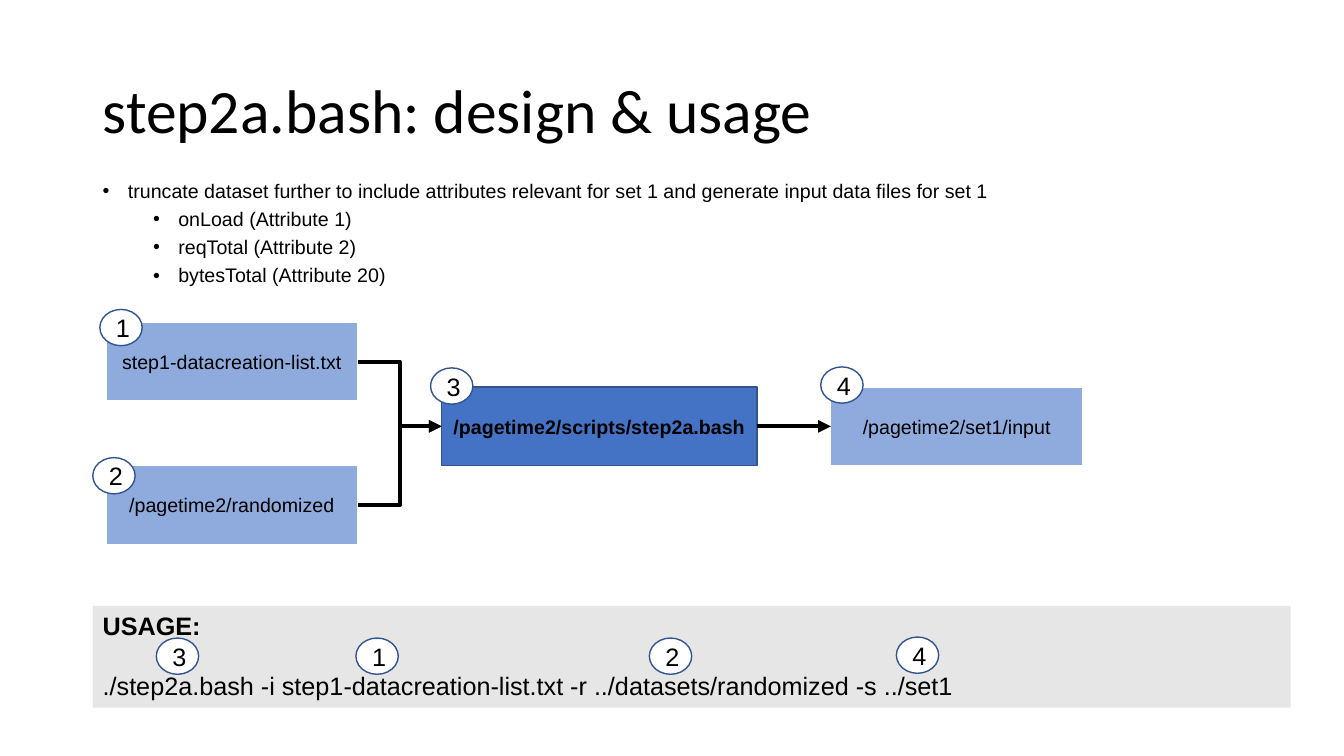
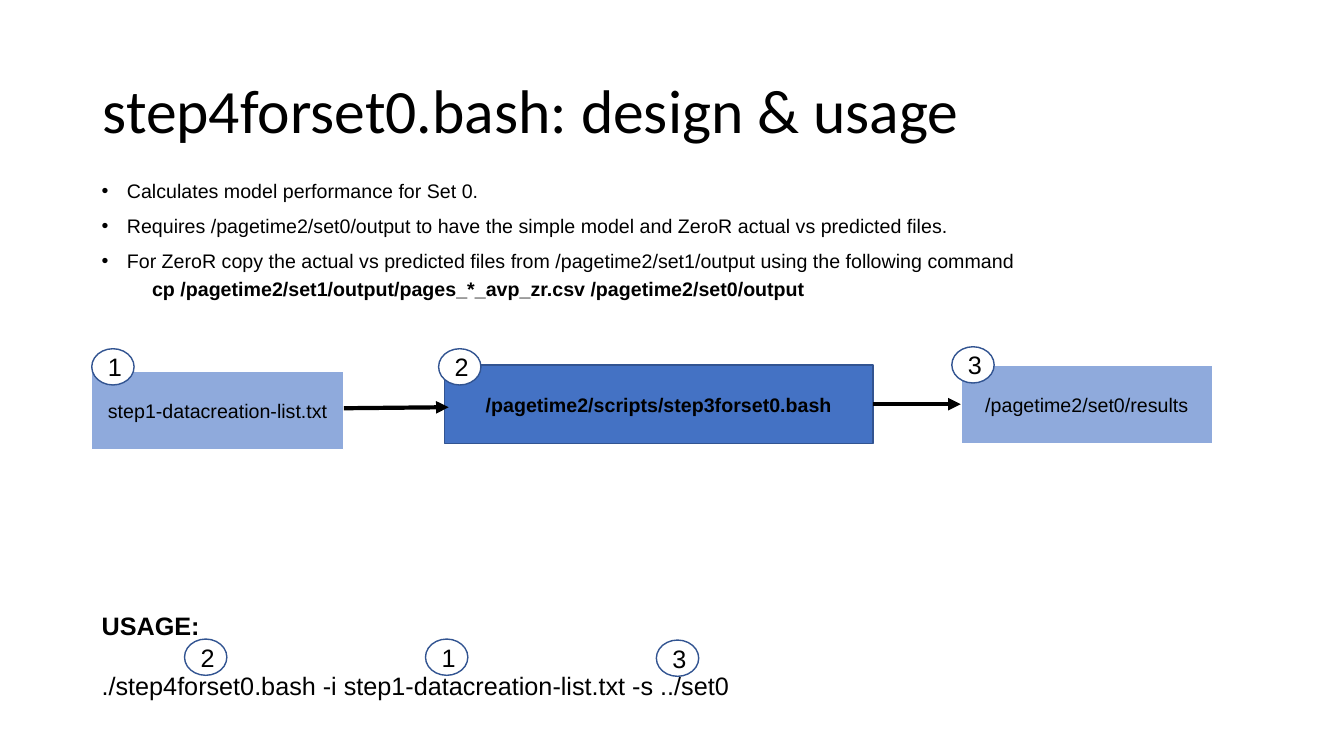
from lxml import etree
from pptx import Presentation
from pptx.dml.color import RGBColor
from pptx.enum.shapes import MSO_CONNECTOR, MSO_SHAPE
from pptx.enum.text import MSO_ANCHOR, PP_ALIGN
from pptx.oxml.ns import qn
from pptx.util import Inches, Pt

COLORS = {
    "text": "000000",
    "script": "4472C4",
    "file": "8FAADC",
    "outline": "325491",
    "white": "FFFFFF",
    "usage": "E7E6E6",
}
BODY_FONT = "Arial"
TITLE_FONT = "Calibri"
BOX_HEIGHT = 0.78
FILE_WIDTH = 2.5


def color(name):
    """Return the named colour."""
    return RGBColor.from_string(COLORS[name])


def set_font(para, size, name=BODY_FONT, bold=False):
    """Set the font of a whole paragraph."""
    para.font.size = Pt(size)
    para.font.name = name
    para.font.bold = bold
    para.font.color.rgb = color("text")


def add_text_box(page, left, top, width, height):
    """Add a wrapping text box."""
    box = page.shapes.add_textbox(
        Inches(left), Inches(top), Inches(width), Inches(height))
    box.text_frame.word_wrap = True
    return box


def add_title(page, text):
    """Add the slide title."""
    frame = add_text_box(page, 0.92, 0.4, 11.5, 1.45).text_frame
    frame.vertical_anchor = MSO_ANCHOR.MIDDLE
    para = frame.paragraphs[0]
    para.text = text
    para.line_spacing = 0.9
    set_font(para, 44, TITLE_FONT)


def add_points(page, left, points):
    """Add (text, level, bulleted) points; a point without bullet is a bold command."""
    frame = add_text_box(page, left, 1.75, 10.78, 1.5).text_frame
    for index, (text, level, bulleted) in enumerate(points):
        para = frame.add_paragraph() if index else frame.paragraphs[0]
        para.text = text
        para.level = level
        para.line_spacing = 0.9
        para.space_before = Pt(5 if level else 10)
        hanging = 0.25 if bulleted else 0
        properties = para._p.get_or_add_pPr()
        properties.set("marL", str(Inches(0.5 * level + hanging)))
        properties.set("indent", str(Inches(-hanging)))
        if bulleted:
            etree.SubElement(properties, qn("a:buFont")).set("typeface", BODY_FONT)
            etree.SubElement(properties, qn("a:buChar")).set("char", "•")
        else:
            etree.SubElement(properties, qn("a:buNone"))
        set_font(para, 14, bold=not bulleted)


def add_filled(page, kind, area, fill, line, text, size, bold=False):
    """Add an outlined shape with centred text."""
    shape = page.shapes.add_shape(kind, *(Inches(length) for length in area))
    shape.shadow.inherit = False
    shape.fill.solid()
    shape.fill.fore_color.rgb = color(fill)
    shape.line.color.rgb = color(line)
    shape.line.width = Pt(1)
    shape.text_frame.vertical_anchor = MSO_ANCHOR.MIDDLE
    para = shape.text_frame.paragraphs[0]
    para.text = text
    para.alignment = PP_ALIGN.CENTER
    set_font(para, size, bold=bold)
    return shape


def add_file(page, left, top, text):
    """Add a light box for an input or output file."""
    return add_filled(page, MSO_SHAPE.RECTANGLE, (left, top, FILE_WIDTH, BOX_HEIGHT),
                      "file", "white", text, 14)


def add_script(page, left, top, width, text):
    """Add the dark box of the script."""
    return add_filled(page, MSO_SHAPE.RECTANGLE, (left, top, width, BOX_HEIGHT),
                      "script", "outline", text, 14, bold=True)


def add_badges(page, badges):
    """Add numbered ovals, given as (number, left, top)."""
    for number, left, top in badges:
        add_filled(page, MSO_SHAPE.OVAL, (left, top, 0.42, 0.36),
                   "white", "outline", str(number), 18)


def add_arrow(page, begin, end, kind=MSO_CONNECTOR.STRAIGHT):
    """Add a thick arrow between two points."""
    arrow = page.shapes.add_connector(kind, *begin, *end)
    arrow.line.color.rgb = color("text")
    arrow.line.width = Pt(3)
    etree.SubElement(arrow.line._get_or_add_ln(), qn("a:tailEnd")).set("type", "triangle")
    etree.SubElement(arrow._element.spPr, qn("a:effectLst"))
    return arrow


def join_boxes(page, source, target, kind=MSO_CONNECTOR.STRAIGHT):
    """Glue an arrow from the right side of one box to the left side of another."""
    begin = (source.left + source.width, source.top + source.height // 2)
    end = (target.left, target.top + target.height // 2)
    arrow = add_arrow(page, begin, end, kind)
    arrow.begin_connect(source, 3)
    arrow.end_connect(target, 1)


def add_usage(page, left, command, badges, fill=None):
    """Add the usage band with its command line and badges."""
    band = add_text_box(page, left, 6.01, 11.88, 1.01)
    if fill:
        band.fill.solid()
        band.fill.fore_color.rgb = color(fill)
    heading = band.text_frame.paragraphs[0]
    heading.text = "USAGE:"
    set_font(heading, 18, bold=True)
    line = band.text_frame.add_paragraph()
    line.text = command
    line.space_before = Pt(21)
    set_font(line, 18)
    add_badges(page, badges)


def build_step2a(page):
    """Build the slide about step2a.bash."""
    add_title(page, "step2a.bash: design & usage")
    add_points(page, 0.92, [
        ("truncate dataset further to include attributes relevant for set 1 "
         "and generate input data files for set 1", 0, True),
        ("onLoad (Attribute 1)", 1, True),
        ("reqTotal (Attribute 2)", 1, True),
        ("bytesTotal (Attribute 20)", 1, True),
    ])
    script = add_script(page, 4.38, 3.84, 3.13, "/pagetime2/scripts/step2a.bash")
    data_list = add_file(page, 1.05, 3.2, "step1-datacreation-list.txt")
    randomized = add_file(page, 1.05, 4.62, "/pagetime2/randomized")
    set_input = add_file(page, 8.24, 3.84, "/pagetime2/set1/input")
    for source in (data_list, randomized):
        join_boxes(page, source, script, MSO_CONNECTOR.ELBOW)
    join_boxes(page, script, set_input)
    add_badges(page, [(1, 0.99, 3.07), (2, 0.92, 4.54), (3, 4.27, 3.65), (4, 8.14, 3.64)])
    add_usage(
        page, 0.92,
        "./step2a.bash -i step1-datacreation-list.txt -r ../datasets/randomized -s ../set1",
        [(3, 1.55, 6.33), (1, 3.53, 6.33), (2, 6.44, 6.33), (4, 8.89, 6.32)],
        fill="usage")


def build_step4(page):
    """Build the slide about step4forset0.bash."""
    add_title(page, "step4forset0.bash: design & usage")
    add_points(page, 0.91, [
        ("Calculates model performance for Set 0.", 0, True),
        ("Requires /pagetime2/set0/output to have the simple model "
         "and ZeroR actual vs predicted files.", 0, True),
        ("For ZeroR copy the actual vs predicted files from /pagetime2/set1/output "
         "using the following command", 0, True),
        ("cp /pagetime2/set1/output/pages_*_avp_zr.csv /pagetime2/set0/output", 1, False),
    ])
    script = add_script(page, 4.41, 3.62, 4.25, "/pagetime2/scripts/step3forset0.bash")
    add_file(page, 0.91, 3.68, "step1-datacreation-list.txt")
    results = add_file(page, 9.53, 3.62, "/pagetime2/set0/results")
    join_boxes(page, script, results)
    add_arrow(page, (Inches(3.41), Inches(4.05)), (Inches(4.45), Inches(4.04)))
    add_badges(page, [(1, 0.91, 3.46), (2, 4.35, 3.46), (3, 9.44, 3.44)])
    add_usage(
        page, 0.91,
        "./step4forset0.bash -i step1-datacreation-list.txt -s ../set0",
        [(2, 1.83, 6.34), (1, 4.22, 6.34), (3, 6.51, 6.35)])


def main():
    """Build and save the deck."""
    deck = Presentation()
    deck.slide_width = Inches(13.33)
    deck.slide_height = Inches(7.5)
    for build in (build_step2a, build_step4):
        build(deck.slides.add_slide(deck.slide_layouts[6]))
    deck.save("out.pptx")


main()
